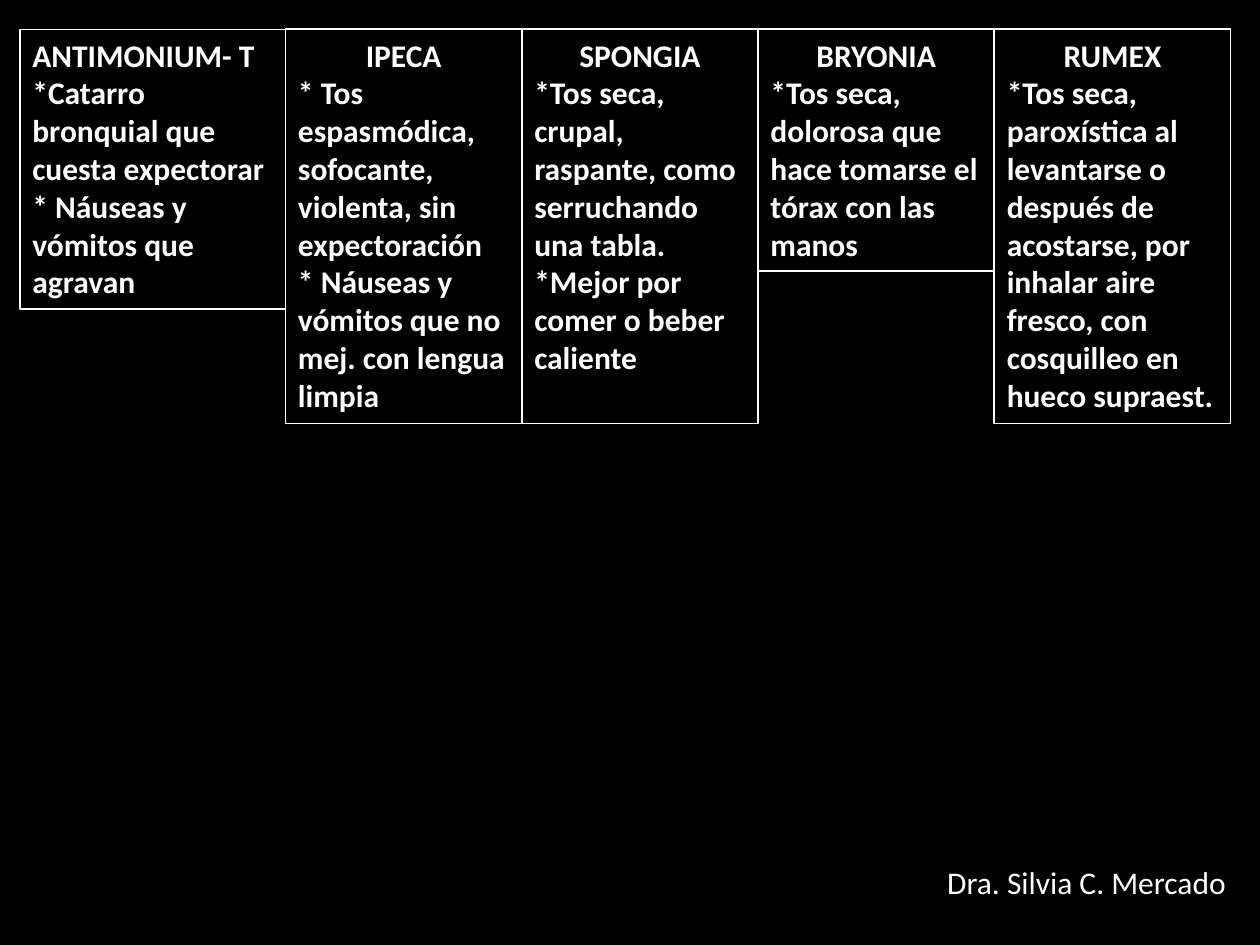
"""Build a slide comparing five cough remedies in adjoining boxes."""
from pptx import Presentation
from pptx.dml.color import RGBColor
from pptx.enum.text import MSO_ANCHOR, MSO_AUTO_SIZE, PP_ALIGN
from pptx.util import Pt

LEFT, CENTER = PP_ALIGN.LEFT, PP_ALIGN.CENTER
TOP = MSO_ANCHOR.TOP
NO_AUTOFIT = MSO_AUTO_SIZE.NONE
BLACK = RGBColor(0x00, 0x00, 0x00)
WHITE = RGBColor(0xFF, 0xFF, 0xFF)
BLANK_LAYOUT = 6
BOX_TOP = 16.8
FIRST_LEFT = 11.4

REMEDIES = [
    (151.8, 159.9, LEFT, "ANTIMONIUM- T", [
        "*Catarro bronquial que cuesta expectorar",
        "* Náuseas y vómitos que agravan"]),
    (135, 225.3, CENTER, "IPECA", [
        "* Tos espasmódica, sofocante, violenta, sin expectoración",
        "* Náuseas y vómitos que no mej. con lengua limpia"]),
    (135, 225.3, CENTER, "SPONGIA", [
        "*Tos seca, crupal, raspante, como serruchando una tabla.",
        "*Mejor por comer o beber caliente"]),
    (135, 138, CENTER, "BRYONIA", [
        "*Tos seca, dolorosa que hace tomarse el tórax con las manos"]),
    (135, 225.3, CENTER, "RUMEX", [
        "*Tos seca, paroxística al levantarse o después de acostarse, "
        "por inhalar aire fresco, con cosquilleo en hueco supraest."]),
]


def add_text(paragraph, text, bold, alignment):
    paragraph.alignment = alignment
    run = paragraph.add_run()
    run.text = text
    run.font.name = "Calibri"
    run.font.size = Pt(18)
    run.font.bold = bold
    run.font.color.rgb = WHITE


presentation = Presentation()
presentation.slide_width = Pt(720)
presentation.slide_height = Pt(540)
slide = presentation.slides.add_slide(presentation.slide_layouts[BLANK_LAYOUT])
slide.background.fill.solid()
slide.background.fill.fore_color.rgb = BLACK

left = FIRST_LEFT
for width, height, alignment, name, symptoms in REMEDIES:
    box = slide.shapes.add_textbox(Pt(left), Pt(BOX_TOP), Pt(width), Pt(height))
    box.line.color.rgb = WHITE
    box.line.width = Pt(1)
    frame = box.text_frame
    frame.word_wrap = True
    frame.auto_size = NO_AUTOFIT
    frame.vertical_anchor = TOP
    add_text(frame.paragraphs[0], name, True, alignment)
    for symptom in symptoms:
        add_text(frame.add_paragraph(), symptom, True, LEFT)
    left += width

author = slide.shapes.add_textbox(Pt(534.2), Pt(489.6), Pt(180), Pt(29))
author.text_frame.word_wrap = False
add_text(author.text_frame.paragraphs[0], "Dra. Silvia C. Mercado", False, LEFT)

presentation.save("out.pptx")
